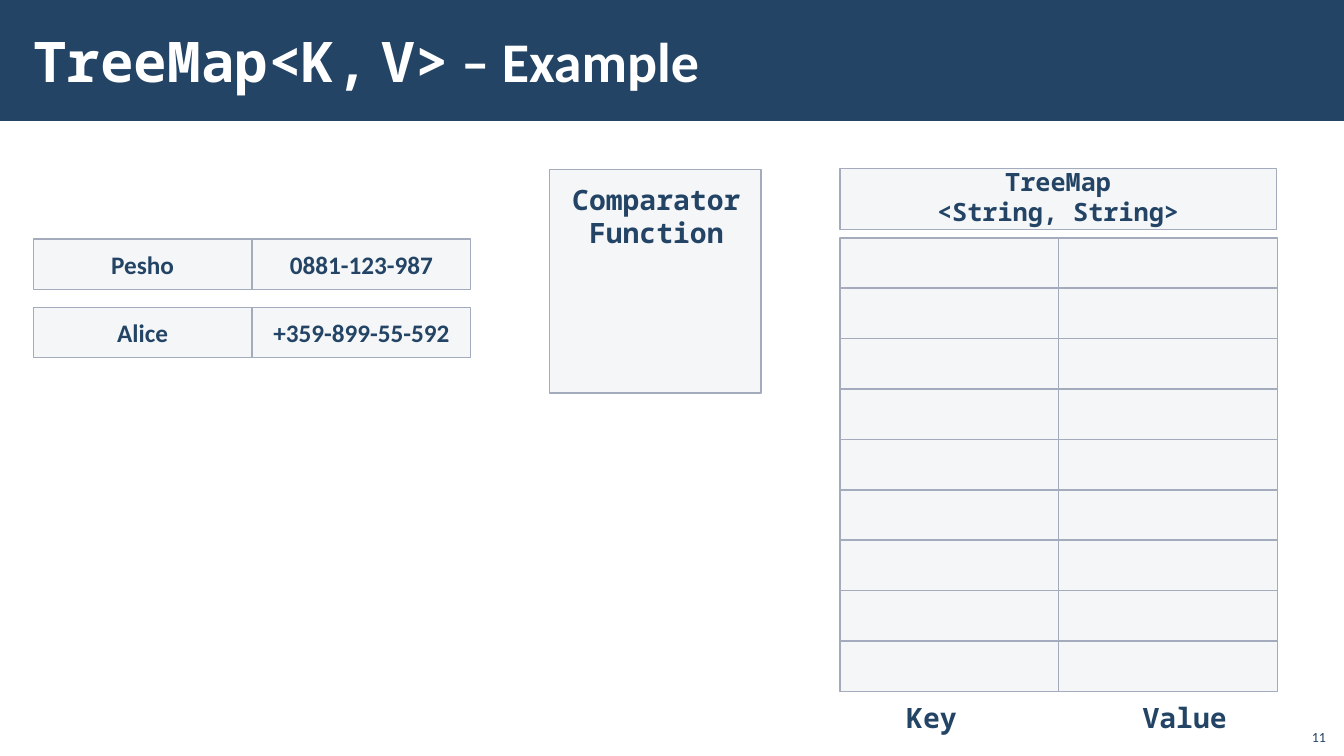
from lxml.etree import SubElement
from pptx import Presentation
from pptx.dml.color import RGBColor
from pptx.enum.shapes import MSO_SHAPE
from pptx.enum.text import MSO_ANCHOR, PP_ALIGN
from pptx.oxml.ns import qn
from pptx.util import Inches, Pt

COLORS = {"navy": "234465", "cell": "C2C7D2", "border": "A3ABBC", "white": "FFFFFF"}
BODY = "Calibri"
MONO = "Noto Sans Mono"

CELL_WIDTH = 2.17
CELL_HEIGHT = 0.5
ENTRY_LEFT = 0.33
ENTRY_TOP = 2.37
ENTRY_PITCH = 0.68
MAP_LEFT = 8.33
MAP_WIDTH = 4.33
MAP_TOP = 2.36
MAP_ROWS = 9
ENTRIES = [("Pesho", "0881-123-987"), ("Alice", "+359-899-55-592")]


def color(name):
    return RGBColor.from_string(COLORS[name])


def add_span(para, text, size, font=BODY, tone="navy", bold=True):
    span = para.add_run()
    span.text = text
    span.font.size = Pt(size)
    span.font.name = font
    span.font.bold = bold
    span.font.color.rgb = color(tone)


def add_rectangle(shapes, left, top, width, height, fill):
    box = shapes.add_shape(MSO_SHAPE.RECTANGLE, Inches(left), Inches(top),
                           Inches(width), Inches(height))
    box.shadow.inherit = False
    box.fill.solid()
    box.fill.fore_color.rgb = color(fill)
    box.line.fill.background()
    return box


def add_panel(shapes, left, top, width, height):
    """Add a bordered rectangle with a 15 % opaque fill."""
    box = add_rectangle(shapes, left, top, width, height, "cell")
    box.line.color.rgb = color("border")
    box.line.width = Pt(1)
    tint = box.fill._xPr.find(qn("a:solidFill"))[0]
    SubElement(tint, qn("a:alpha"), val="15000")
    return box


def add_row(shapes, left, top, texts=()):
    """Add a key cell and a value cell, with texts if there are any."""
    for column in range(2):
        cell = add_panel(shapes, left + column * CELL_WIDTH, top, CELL_WIDTH, CELL_HEIGHT)
        if texts:
            cell.text_frame.vertical_anchor = MSO_ANCHOR.MIDDLE
            para = cell.text_frame.paragraphs[0]
            para.alignment = PP_ALIGN.CENTER
            add_span(para, texts[column], 18)


def add_text_box(shapes, left, top, width, height, align=PP_ALIGN.CENTER,
                 anchor=MSO_ANCHOR.TOP):
    """Add a wrapping text box and return its text frame."""
    box = shapes.add_textbox(Inches(left), Inches(top), Inches(width), Inches(height))
    frame = box.text_frame
    frame.word_wrap = True
    frame.vertical_anchor = anchor
    frame.paragraphs[0].alignment = align
    return frame


def add_title(shapes):
    add_rectangle(shapes, 0, 0, 13.33, 1.2, "navy")
    frame = add_text_box(shapes, 0.21, 0.11, 10.63, 0.97, PP_ALIGN.LEFT, MSO_ANCHOR.MIDDLE)
    frame.margin_left = frame.margin_right = Inches(0.12)
    frame.margin_top = frame.margin_bottom = Inches(0.04)
    para = frame.paragraphs[0]
    for text, font in (("TreeMap<K,", MONO), (" ", BODY), ("V>", MONO), (" – Example", BODY)):
        add_span(para, text, 40, font, "white")


def add_tree_map(shapes):
    add_panel(shapes, MAP_LEFT, 1.67, MAP_WIDTH, 0.61)
    frame = add_text_box(shapes, MAP_LEFT, 1.6, MAP_WIDTH, 0.77)
    add_span(frame.paragraphs[0], "TreeMap", 18, MONO)
    para = frame.add_paragraph()
    para.alignment = PP_ALIGN.CENTER
    add_span(para, "<String, String>", 18, MONO)
    for row in range(MAP_ROWS):
        add_row(shapes, MAP_LEFT, MAP_TOP + row * CELL_HEIGHT)
    for label, center in (("Key", 9.24), ("Value", 11.75)):
        frame = add_text_box(shapes, center - 0.75, 6.9, 1.5, 0.44)
        add_span(frame.paragraphs[0], label, 20, MONO)


def add_comparator(shapes):
    group = shapes.add_group_shape()
    add_panel(group.shapes, 5.45, 1.68, 2.1, 2.22)
    para = add_text_box(group.shapes, 5.5, 1.76, 2.02, 0.77).paragraphs[0]
    add_span(para, "Comparator", 20, MONO)
    para.add_line_break()
    add_span(para, "Function", 20, MONO)


def main():
    deck = Presentation()
    deck.slide_width = Inches(13.33)
    deck.slide_height = Inches(7.5)
    page = deck.slides.add_slide(deck.slide_layouts[6])
    add_title(page.shapes)
    for index, entry in enumerate(ENTRIES):
        add_row(page.shapes, ENTRY_LEFT, ENTRY_TOP + index * ENTRY_PITCH, entry)
    add_tree_map(page.shapes)
    add_comparator(page.shapes)
    number = add_text_box(page.shapes, 12.85, 7.12, 0.4, 0.32, PP_ALIGN.RIGHT, MSO_ANCHOR.BOTTOM)
    add_span(number.paragraphs[0], "11", 10, bold=False)
    deck.save("out.pptx")


if __name__ == "__main__":
    main()
